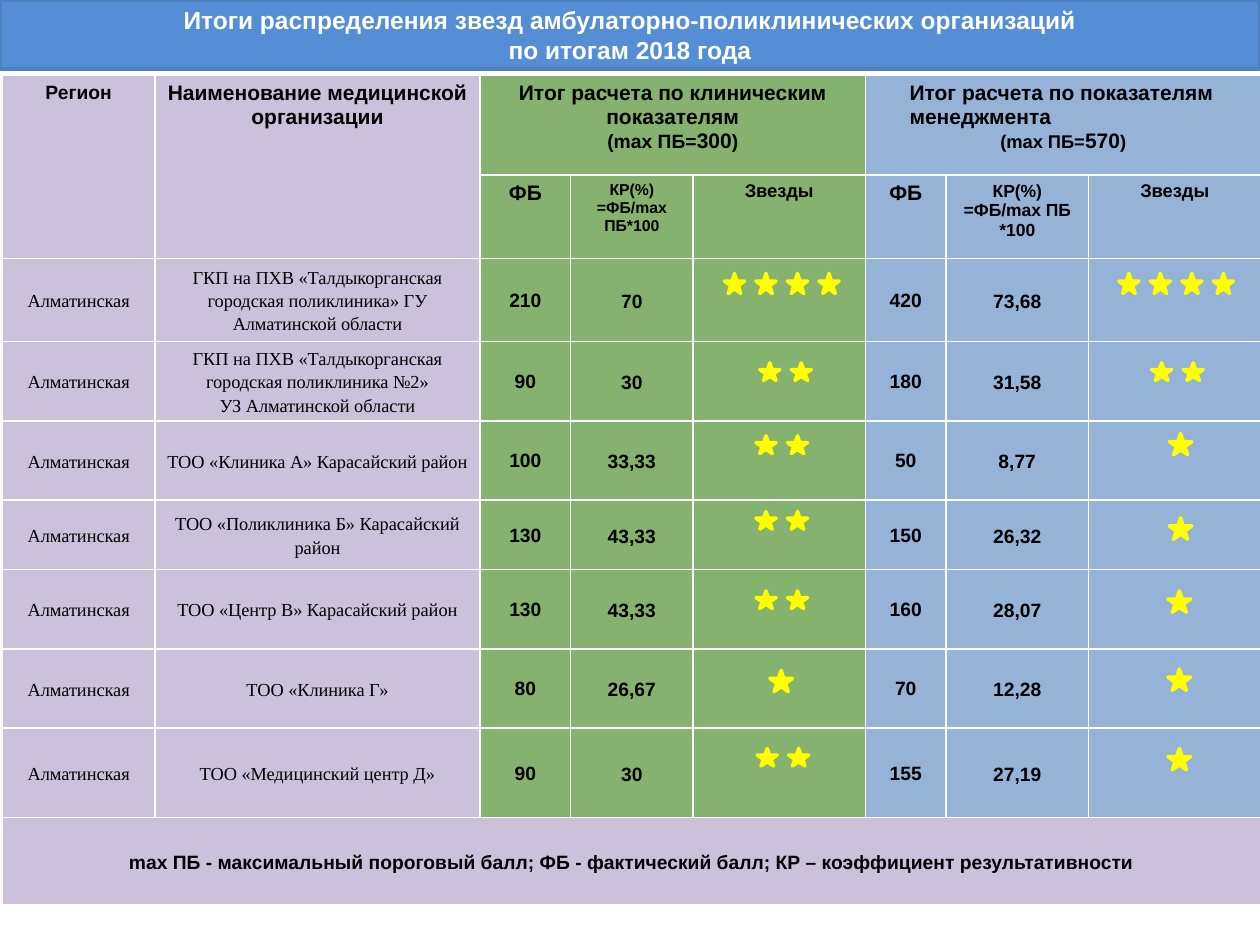
from lxml import etree
from pptx import Presentation
from pptx.dml.color import RGBColor
from pptx.enum.shapes import MSO_SHAPE
from pptx.enum.text import MSO_ANCHOR, PP_ALIGN
from pptx.oxml.ns import qn
from pptx.util import Inches, Pt

RECTANGLE, STAR = MSO_SHAPE.RECTANGLE, MSO_SHAPE.STAR_5_POINT
MIDDLE, TOP = MSO_ANCHOR.MIDDLE, MSO_ANCHOR.TOP
CENTER, LEFT = PP_ALIGN.CENTER, PP_ALIGN.LEFT

COLORS = {
    "title": "558ED5", "title_line": "4F81BD", "white": "FFFFFF", "black": "000000",
    "lilac": "CCC1DA", "green": "85B26E", "blue": "95B3D7", "star": "FFFF00",
}
SANS, SERIF = "Arial", "Times New Roman"
SLIDE_WIDTH, SLIDE_HEIGHT = 10, 7.5
TABLE_LEFT, TABLE_TOP = 0.02, 0.6
COLUMNS = [1.21, 2.58, 0.72, 0.97, 1.37, 0.64, 1.13, 1.37]
ROWS = [0.79, 0.66, 0.66, 0.63, 0.63, 0.55, 0.63, 0.63, 0.71, 0.69]
COLUMN_COLORS = ["lilac"] * 2 + ["green"] * 3 + ["blue"] * 3
HEADER_INSETS = (0.1, 0.05, 0.1, 0.05)
BODY_INSETS = (0.07, 0, 0.07, 0)
SCORE_INSETS = (0.01, 0.01, 0.01, 0)

TITLE = ["Итоги распределения звезд амбулаторно-поликлинических организаций",
         "по итогам 2018 года"]
FOOTNOTE = ("mах ПБ - максимальный пороговый балл; ФБ - фактический балл; "
            "КР – коэффициент результативности")
REGION = "Алматинская"

# Name lines, then clinical and management results: score, ratio, stars
ORGANIZATIONS = [
    (["ГКП на ПХВ «Талдыкорганская городская поликлиника» ГУ Алматинской области"],
     ("210", "70", 4), ("420", "73,68", 4)),
    (["ГКП на ПХВ «Талдыкорганская городская поликлиника №2»", "УЗ Алматинской области"],
     ("90", "30", 2), ("180", "31,58", 2)),
    (["ТОО «Клиника А» Карасайский район"], ("100", "33,33", 2), ("50", "8,77", 1)),
    (["ТОО «Поликлиника Б» Карасайский район"], ("130", "43,33", 2), ("150", "26,32", 1)),
    (["ТОО «Центр В» Карасайский район"], ("130", "43,33", 2), ("160", "28,07", 1)),
    (["ТОО «Клиника Г»"], ("80", "26,67", 1), ("70", "12,28", 1)),
    (["ТОО «Медицинский центр Д»"], ("90", "30", 2), ("155", "27,19", 1)),
]
# Left and top of the first star: clinical, then management
STAR_STARTS = [
    ((5.75, 2.17), (8.88, 2.17)), ((6.03, 2.88), (9.14, 2.88)),
    ((6.0, 3.46), (9.28, 3.44)), ((6.0, 4.06), (9.28, 4.11)),
    ((6.0, 4.69), (9.27, 4.69)), ((6.11, 5.32), (9.27, 5.31)),
    ((6.01, 5.94), (9.27, 5.94)),
]
STAR_SIZES = {1: (0.18, 0.17), 2: (0.16, 0.14), 4: (0.16, 0.16)}
STAR_STEP = 0.25


def color(name):
    return RGBColor.from_string(COLORS[name])


def add_run(paragraph, text, size, font=SANS, bold=True, ink="black"):
    run = paragraph.add_run()
    run.text = text
    run.font.size = Pt(size)
    run.font.name = font
    run.font.bold = bold
    run.font.color.rgb = color(ink)


def add_figure(slide, kind, place, fill, line):
    figure = slide.shapes.add_shape(kind, *(Inches(length) for length in place))
    figure.shadow.inherit = False
    figure.fill.solid()
    figure.fill.fore_color.rgb = color(fill)
    figure.line.color.rgb = color(line)
    figure.line.width = Pt(2)
    return figure


def add_title(slide):
    banner = add_figure(slide, RECTANGLE, (0, 0, SLIDE_WIDTH, 0.55), "title", "title_line")
    frame = banner.text_frame
    frame.word_wrap = True
    frame.vertical_anchor = MIDDLE
    heading = frame.paragraphs[0]
    heading.alignment = CENTER
    add_run(heading, TITLE[0], 14, ink="white")
    heading.add_line_break()
    add_run(heading, TITLE[1], 14, ink="white")


def style_cell(cell, fill):
    properties = cell._tc.get_or_add_tcPr()
    for side in ("a:lnL", "a:lnR", "a:lnT", "a:lnB"):
        border = etree.SubElement(properties, qn(side), w=str(Pt(1)))
        paint = etree.SubElement(border, qn("a:solidFill"))
        etree.SubElement(paint, qn("a:srgbClr"), val=COLORS["white"])
    cell.fill.solid()
    cell.fill.fore_color.rgb = color(fill)


def write_cell(cell, lines, insets=BODY_INSETS, anchor=MIDDLE, spacing=1.15, **font):
    """Write one paragraph per line; a line is a list of (text, size) runs."""
    cell.margin_left, cell.margin_top, cell.margin_right, cell.margin_bottom = map(Inches, insets)
    cell.vertical_anchor = anchor
    for index, runs in enumerate(lines):
        frame = cell.text_frame
        paragraph = frame.add_paragraph() if index else frame.paragraphs[0]
        paragraph.alignment = CENTER
        paragraph.line_spacing = spacing
        for text, size in runs:
            add_run(paragraph, text, size, **font)


def write_headers(table):
    headers = {
        (0, 0): [[("Регион", 11)]],
        (0, 1): [[("Наименование медицинской организации", 12)]],
        (0, 2): [[("Итог расчета по клиническим показателям", 12)],
                 [("(mах ПБ=", 11), ("300", 12), (")", 11)]],
        (0, 5): [[("Итог расчета по показателям менеджмента", 12)],
                 [("(mах ПБ=", 10.5), ("570", 12), (")", 10.5)]],
    }
    for column, size, formula in ((2, 9, "=ФБ/mах ПБ*100"), (5, 10, "=ФБ/mах ПБ *100")):
        headers[1, column] = [[("ФБ", 12)]]
        headers[1, column + 1] = [[("КР(%)", size)], [(formula, size)]]
        headers[1, column + 2] = [[("Звезды", 10.5)]]
    for (row, column), lines in headers.items():
        write_cell(table.cell(row, column), lines, HEADER_INSETS, TOP, 1.0)
    management = table.cell(0, 5).text_frame.paragraphs[0]
    management.alignment = LEFT
    management._p.get_or_add_pPr().set("marL", str(Inches(0.25)))


def write_organization(table, row, name, results):
    write_cell(table.cell(row, 0), [[(REGION, 10.5)]], font=SERIF, bold=False)
    write_cell(table.cell(row, 1), [[(line, 10.5)] for line in name], font=SERIF, bold=False)
    for column, (score, ratio, _) in zip((2, 5), results):
        write_cell(table.cell(row, column), [[(score, 11)]], SCORE_INSETS, spacing=1.0)
        write_cell(table.cell(row, column + 1), [[(ratio, 11)]])


def add_results_table(slide):
    table = slide.shapes.add_table(
        len(ROWS), len(COLUMNS), Inches(TABLE_LEFT), Inches(TABLE_TOP),
        Inches(sum(COLUMNS)), Inches(sum(ROWS))).table
    table.first_row = table.horz_banding = False
    for column, width in zip(table.columns, COLUMNS):
        column.width = Inches(width)
    footer = len(ROWS) - 1
    for index, height in enumerate(ROWS):
        table.rows[index].height = Inches(height)
        for column, fill in enumerate(COLUMN_COLORS):
            style_cell(table.cell(index, column), "lilac" if index == footer else fill)
    for start, end in (((0, 0), (1, 0)), ((0, 1), (1, 1)), ((0, 2), (0, 4)),
                       ((0, 5), (0, 7)), ((footer, 0), (footer, 7))):
        table.cell(*start).merge(table.cell(*end))
    write_headers(table)
    for row, (name, *results) in enumerate(ORGANIZATIONS, start=2):
        write_organization(table, row, name, results)
    write_cell(table.cell(footer, 0), [[(FOOTNOTE, 11)]])


def add_stars(slide, count, left, top):
    for index in range(count):
        place = (left + index * STAR_STEP, top, *STAR_SIZES[count])
        add_figure(slide, STAR, place, "star", "star")


def main():
    presentation = Presentation()
    presentation.slide_width = Inches(SLIDE_WIDTH)
    presentation.slide_height = Inches(SLIDE_HEIGHT)
    slide = presentation.slides.add_slide(presentation.slide_layouts[6])
    add_title(slide)
    add_results_table(slide)
    for (_, *results), starts in zip(ORGANIZATIONS, STAR_STARTS):
        for (_, _, count), (left, top) in zip(results, starts):
            add_stars(slide, count, left, top)
    presentation.save("out.pptx")


if __name__ == "__main__":
    main()
